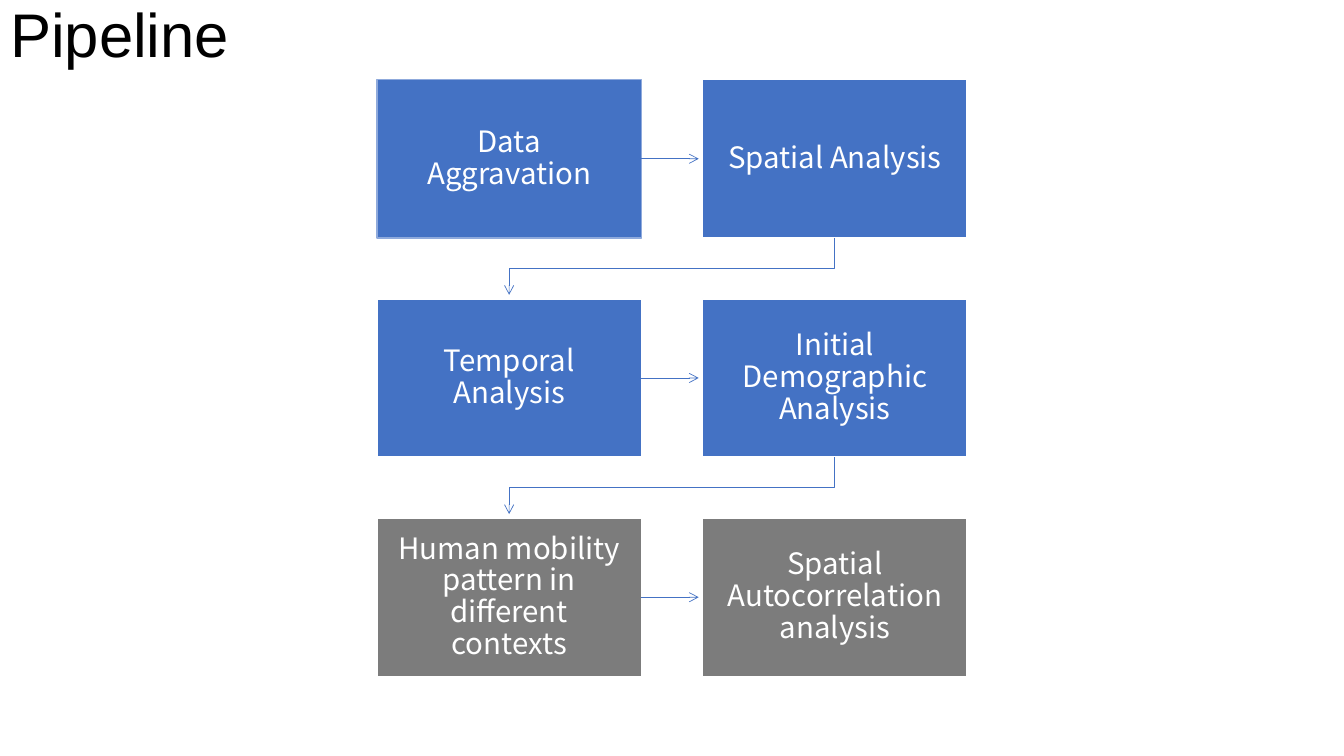
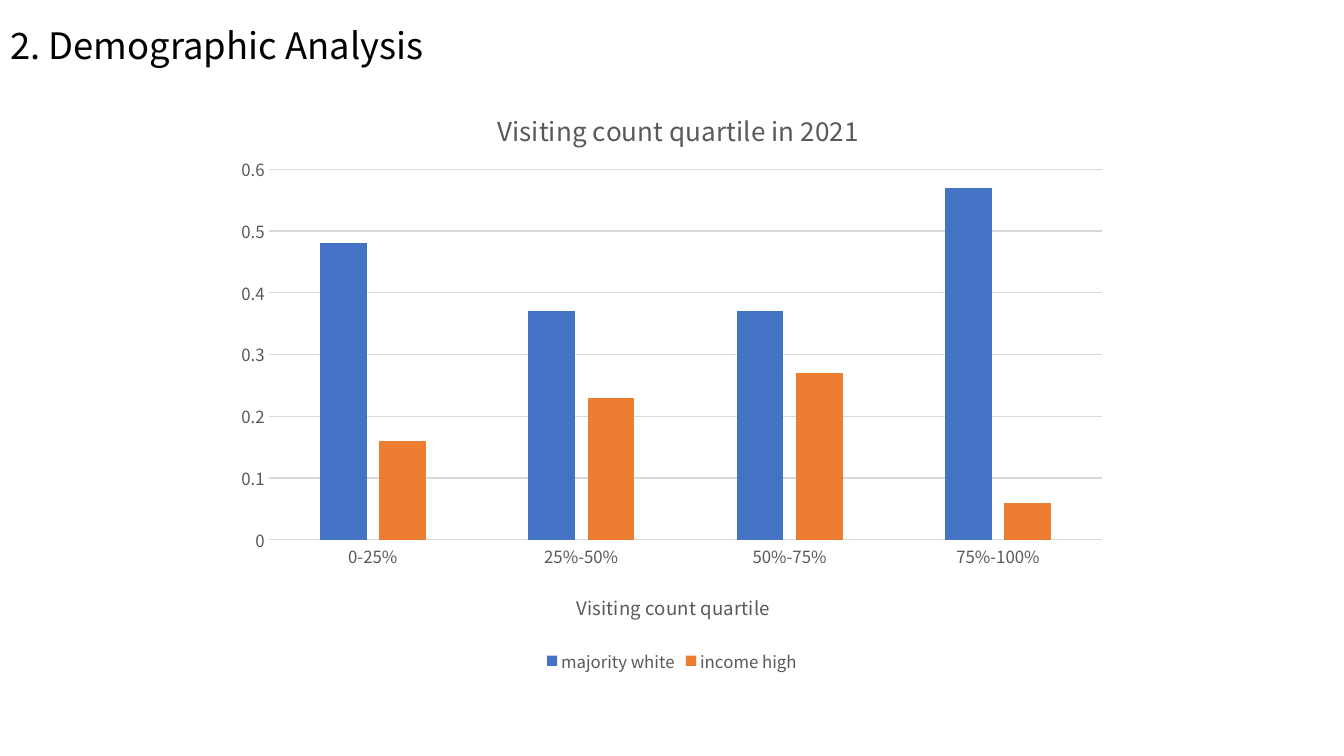
"""Build a two-slide deck with an analysis pipeline and a demographic chart."""
from lxml import etree
from pptx import Presentation
from pptx.chart.data import CategoryChartData
from pptx.dml.color import RGBColor
from pptx.enum.chart import XL_CHART_TYPE, XL_LEGEND_POSITION, XL_TICK_MARK
from pptx.enum.shapes import MSO_CONNECTOR, MSO_SHAPE
from pptx.enum.text import MSO_ANCHOR, MSO_AUTO_SIZE, PP_ALIGN
from pptx.oxml.ns import qn
from pptx.util import Inches, Pt

BLUE = RGBColor(0x44, 0x72, 0xC4)
LIGHT_BLUE = RGBColor(0x8F, 0xAA, 0xDC)
ORANGE = RGBColor(0xED, 0x7D, 0x31)
GRAY = RGBColor(0x7C, 0x7C, 0x7C)
TEXT_GRAY = RGBColor(0x59, 0x59, 0x59)
GRID_GRAY = RGBColor(0xD9, 0xD9, 0xD9)
BLACK = RGBColor(0x00, 0x00, 0x00)
WHITE = RGBColor(0xFF, 0xFF, 0xFF)

BODY_FONT = "Noto Sans CJK SC"
TITLE_FONT = "Arial"
CLUSTERED = XL_CHART_TYPE.COLUMN_CLUSTERED
LEGEND_BOTTOM = XL_LEGEND_POSITION.BOTTOM
NO_TICK = XL_TICK_MARK.NONE
STRAIGHT = MSO_CONNECTOR.STRAIGHT
RECTANGLE = MSO_SHAPE.RECTANGLE
MIDDLE, BOTTOM = MSO_ANCHOR.MIDDLE, MSO_ANCHOR.BOTTOM
NO_AUTOFIT = MSO_AUTO_SIZE.NONE
LEFT, CENTER = PP_ALIGN.LEFT, PP_ALIGN.CENTER
TITLE_ONLY = 5
RIGHT_SIDE = 3

BOX_WIDTH, BOX_HEIGHT = Inches(2.62), Inches(1.57)
GRID_LEFT, GRID_TOP = Inches(3.74), Inches(0.79)
COLUMN_PITCH, ROW_PITCH = Inches(3.23), Inches(4.35) // 2
ARROW_GAP = Inches(0.04)
BOX_INSET = Inches(0.16)

STEPS = [
    [("Data Aggravation", BLUE, LIGHT_BLUE), ("Spatial Analysis", BLUE, WHITE)],
    [("Temporal Analysis", BLUE, WHITE), ("Initial Demographic Analysis", BLUE, WHITE)],
    [("Human mobility pattern in different contexts", GRAY, WHITE),
     ("Spatial Autocorrelation analysis", GRAY, WHITE)],
]
QUARTILES = ["0-25%", "25%-50%", "50%-75%", "75%-100%"]
SHARES = [
    ("majority white", (0.48, 0.37, 0.37, 0.57), BLUE),
    ("income high", (0.16, 0.23, 0.27, 0.06), ORANGE),
]


def style_font(font, size, color, name=BODY_FONT):
    """Apply size, colour and typeface to a font."""
    font.size = Pt(size)
    font.name = name
    font.bold = False
    font.color.rgb = color


def write_text(frame, text, size, color, name=BODY_FONT, align=LEFT, spacing=0.9):
    """Write one formatted paragraph into a text frame."""
    para = frame.paragraphs[0]
    para.alignment = align
    para.line_spacing = spacing
    span = para.add_run()
    span.text = text
    style_font(span.font, size, color, name)


def place_chart_part(element, inner=False, **fractions):
    """Fix the position of a chart part as fractions of the chart."""
    layout = element.find(qn("c:layout"))
    if layout is None:
        layout = etree.Element(qn("c:layout"))
        element.insert(0 if element.find(qn("c:tx")) is None else 1, layout)
    manual = etree.SubElement(layout, qn("c:manualLayout"))
    settings = [("layoutTarget", "inner")] if inner else []
    settings += [("xMode", "edge"), ("yMode", "edge"), *fractions.items()]
    for tag, value in settings:
        etree.SubElement(manual, qn(f"c:{tag}")).set("val", str(value))


class DeckBuilder:
    """Hold the deck style and the slide being filled."""

    def __init__(self):
        """Start an empty widescreen deck."""
        self.deck = Presentation()
        self.deck.slide_width, self.deck.slide_height = Inches(13.33), Inches(7.5)
        self.page = None

    def add_page(self, title, width, height, size, anchor, **text_format):
        """Add a slide and format its title."""
        self.page = self.deck.slides.add_slide(self.deck.slide_layouts[TITLE_ONLY])
        box = self.page.shapes.title
        box.left, box.top, box.width, box.height = 0, 0, width, height
        frame = box.text_frame
        frame.auto_size = NO_AUTOFIT
        frame.word_wrap = True
        frame.vertical_anchor = anchor
        write_text(frame, title, size, BLACK, **text_format)

    def add_box(self, text, left, top, fill, outline):
        """Add a pipeline step."""
        box = self.page.shapes.add_shape(RECTANGLE, left, top, BOX_WIDTH, BOX_HEIGHT)
        box.shadow.inherit = False
        box.fill.solid()
        box.fill.fore_color.rgb = fill
        box.line.color.rgb = outline
        box.line.width = Pt(1)
        frame = box.text_frame
        frame.word_wrap = True
        frame.vertical_anchor = MIDDLE
        frame.margin_left = frame.margin_right = BOX_INSET
        frame.margin_top = frame.margin_bottom = BOX_INSET
        write_text(frame, text, 21, WHITE, align=CENTER)
        return box

    def style_arrow(self, arrow):
        """Give a line the thin blue arrow style."""
        arrow.line.color.rgb = BLUE
        arrow.line.width = Pt(0.5)
        line = arrow.element.spPr.find(qn("a:ln"))
        etree.SubElement(line, qn("a:tailEnd")).set("type", "arrow")

    def add_row_arrow(self, start, end):
        """Point from a box to its right neighbour."""
        middle = start.top + BOX_HEIGHT // 2
        arrow = self.page.shapes.add_connector(
            STRAIGHT, start.left + BOX_WIDTH, middle, end.left - ARROW_GAP, middle)
        arrow.begin_connect(start, RIGHT_SIDE)
        self.style_arrow(arrow)
        etree.SubElement(arrow.element.spPr, qn("a:effectLst"))

    def add_wrap_arrow(self, start, end):
        """Lead from the end of a row to the start of the next."""
        start_x, end_x = (box.left + BOX_WIDTH // 2 for box in (start, end))
        start_y = start.top + BOX_HEIGHT
        bend_y = (start_y + end.top) // 2
        outline = self.page.shapes.build_freeform(start_x, start_y)
        outline.add_line_segments(
            [(start_x, bend_y), (end_x, bend_y), (end_x, end.top - ARROW_GAP)], close=False)
        arrow = outline.convert_to_shape()
        arrow.fill.background()
        arrow.shadow.inherit = False
        self.style_arrow(arrow)

    def add_pipeline(self, steps):
        """Lay out the steps in a grid and link them in reading order."""
        rows = [
            [self.add_box(text, GRID_LEFT + column * COLUMN_PITCH,
                          GRID_TOP + row * ROW_PITCH, fill, outline)
             for column, (text, fill, outline) in enumerate(row_steps)]
            for row, row_steps in enumerate(steps)
        ]
        for first, second in rows:
            self.add_row_arrow(first, second)
        for upper, lower in zip(rows, rows[1:]):
            self.add_wrap_arrow(upper[-1], lower[0])

    def add_column_chart(self, title, axis_title, categories, series):
        """Add a clustered column chart."""
        data = CategoryChartData(number_format="General")
        data.categories = categories
        for name, values, _ in series:
            data.add_series(name, values)
        chart = self.page.shapes.add_chart(
            CLUSTERED, Inches(2.22), Inches(0.79), Inches(8.89), Inches(5.93), data).chart
        style_font(chart.font, 12, TEXT_GRAY)
        chart.has_title = True
        write_text(chart.chart_title.text_frame, title, 18.6, TEXT_GRAY, align=CENTER)
        chart.has_legend = True
        chart.legend.position = LEGEND_BOTTOM
        chart.legend.include_in_layout = False
        style_font(chart.legend.font, 12, TEXT_GRAY)

        category_axis, value_axis = chart.category_axis, chart.value_axis
        for axis in (category_axis, value_axis):
            axis.major_tick_mark = axis.minor_tick_mark = NO_TICK
            style_font(axis.tick_labels.font, 12, TEXT_GRAY)
        category_axis.has_title = True
        write_text(category_axis.axis_title.text_frame, axis_title, 13.3, TEXT_GRAY, align=CENTER)
        value_axis.minimum_scale, value_axis.maximum_scale = 0, 0.6
        value_axis.major_unit = 0.1
        value_axis.format.line.fill.background()
        value_axis.has_major_gridlines = True
        for line in (category_axis.format.line, value_axis.major_gridlines.format.line):
            line.color.rgb = GRID_GRAY
            line.width = Pt(0.75)

        plot = chart.plots[0]
        plot.gap_width, plot.overlap = 219, -27
        plot.vary_by_categories = False
        for columns, (_, _, color) in zip(plot.series, series):
            columns.format.fill.solid()
            columns.format.fill.fore_color.rgb = color

        plot_area = chart.element.find(".//" + qn("c:plotArea"))
        place_chart_part(plot_area, inner=True, x=0.05, y=0.15, w=0.93, h=0.62)
        place_chart_part(chart.element.find(qn("c:chart")).find(qn("c:title")), x=0.3, y=0.04)
        place_chart_part(plot_area.find(".//" + qn("c:title")), x=0.39, y=0.85)


def main():
    """Build and save the deck."""
    builder = DeckBuilder()
    builder.add_page("Pipeline", Inches(10.67), Inches(0.74), 44, BOTTOM,
                     name=TITLE_FONT, spacing=1.5)
    builder.add_pipeline(STEPS)
    builder.add_page("2. Demographic Analysis", Inches(4.8), Inches(0.94), 26, MIDDLE)
    builder.add_column_chart("Visiting count quartile in 2021", "Visiting count quartile",
                             QUARTILES, SHARES)
    builder.deck.save("out.pptx")


if __name__ == "__main__":
    main()
